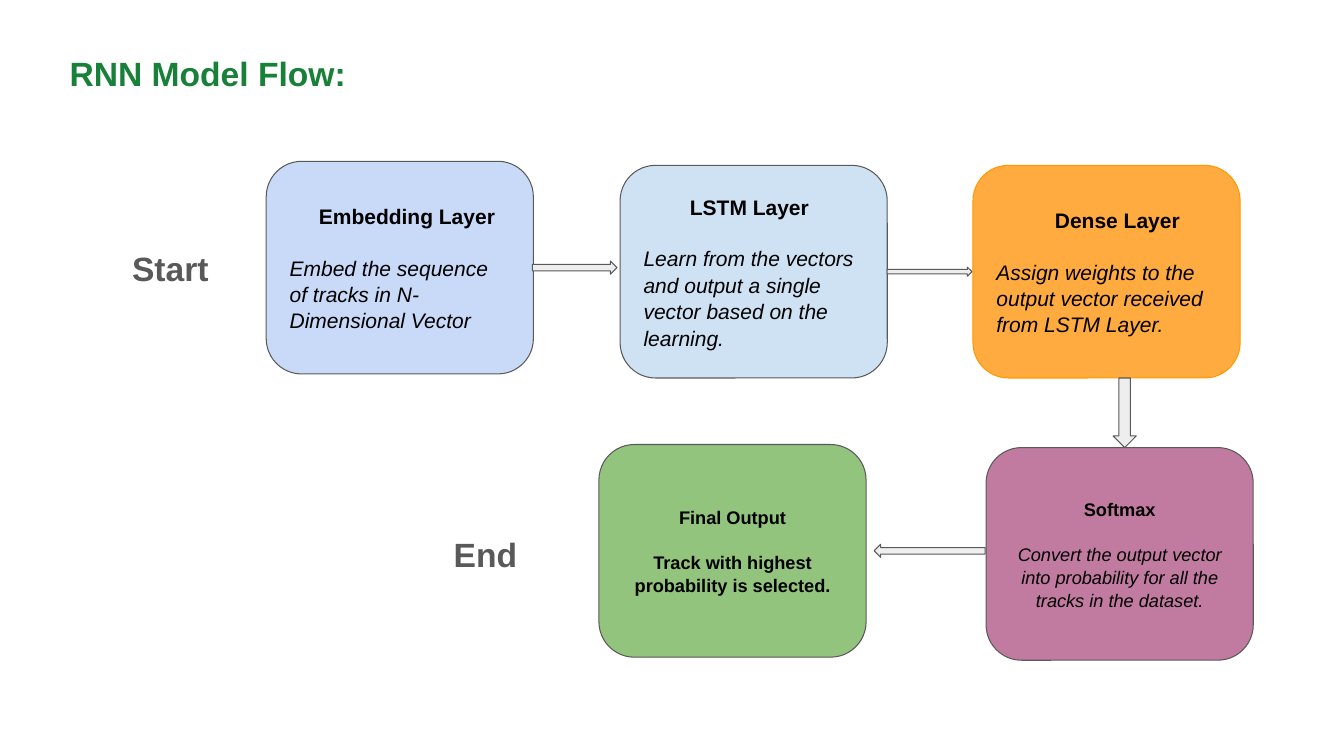
import pptx
import pptx.dml.color
import pptx.enum.shapes
import pptx.enum.text
import pptx.util

COLUMNS, ROWS = 133.3, 75
SLIDE_WIDTH = pptx.util.Inches(13.33)
SLIDE_HEIGHT = pptx.util.Inches(7.5)
INSET = 1.3
BOX_COLUMNS, BOX_ROWS = 26.5, 21.1
FONT = "Arial"
LINE_SPACING = 1.05
COLORS = {
    "title": "188038",
    "label": "595959",
    "text": "000000",
    "outline": "595959",
    "arrow": "EEEEEE",
    "embedding": "C9DAF8",
    "lstm": "CFE2F3",
    "dense": "FFAB40",
    "dense_outline": "FF9900",
    "output": "93C47D",
    "softmax": "C27BA0",
}
SHAPES = pptx.enum.shapes.MSO_SHAPE
LEFT = pptx.enum.text.PP_ALIGN.LEFT
CENTER = pptx.enum.text.PP_ALIGN.CENTER


def across(columns):
    return round(SLIDE_WIDTH * columns / COLUMNS)


def down(rows):
    return round(SLIDE_HEIGHT * rows / ROWS)


def place(left, top, width, height):
    return across(left), down(top), across(width), down(height)


def color(name):
    return pptx.dml.color.RGBColor.from_string(COLORS[name])


def prepare_frame(box, anchor):
    frame = box.text_frame
    frame.word_wrap = True
    frame.vertical_anchor = anchor
    frame.margin_left = frame.margin_right = across(INSET)
    frame.margin_top = frame.margin_bottom = down(INSET)
    return frame


def add_span(para, text, size, color_name, bold=True, italic=False):
    span = para.add_run()
    span.text = text
    span.font.name = FONT
    span.font.size = pptx.util.Pt(size)
    span.font.bold = bold
    span.font.italic = italic
    span.font.color.rgb = color(color_name)


def add_label(page, text, area, color_name):
    box = page.shapes.add_textbox(*place(*area))
    frame = prepare_frame(box, pptx.enum.text.MSO_ANCHOR.TOP)
    add_span(frame.paragraphs[0], text, 24, color_name)


def add_outlined_shape(page, kind, area, fill, outline="outline"):
    shape = page.shapes.add_shape(kind, *place(*area))
    shape.shadow.inherit = False
    shape.fill.solid()
    shape.fill.fore_color.rgb = color(fill)
    shape.line.color.rgb = color(outline)
    shape.line.width = pptx.util.Pt(0.75)
    return shape


def add_layer(page, left, top, fill, heading, detail, size, align=LEFT,
              indent=0, italic=True, outline="outline"):
    area = (left, top, BOX_COLUMNS, BOX_ROWS)
    box = add_outlined_shape(page, SHAPES.ROUNDED_RECTANGLE, area, fill, outline)
    frame = prepare_frame(box, pptx.enum.text.MSO_ANCHOR.MIDDLE)
    heading_para = frame.paragraphs[0]
    detail_para = frame.add_paragraph()
    for para in (heading_para, detail_para):
        para.alignment = align
        para.line_spacing = LINE_SPACING
    heading_para.space_after = pptx.util.Pt(size * 1.2)
    if indent:
        heading_para._p.get_or_add_pPr().set("marL", str(across(indent)))
    add_span(heading_para, heading, size, "text")
    add_span(detail_para, detail, size, "text", not italic, italic)


def main():
    deck = pptx.Presentation()
    deck.slide_width = SLIDE_WIDTH
    deck.slide_height = SLIDE_HEIGHT
    page = deck.slides.add_slide(deck.slide_layouts[6])

    add_layer(page, 26.4, 16, "embedding", "Embedding Layer",
              "Embed the sequence of tracks in N-Dimensional Vector",
              15, indent=2.9)
    add_layer(page, 61.5, 16.4, "lstm", "LSTM Layer",
              "Learn from the vectors and output a single vector based on the learning.",
              15, indent=4.6)
    add_layer(page, 96.5, 16.4, "dense", "Dense Layer",
              "Assign weights to the output vector received from LSTM Layer.",
              15, indent=5.8, outline="dense_outline")
    add_layer(page, 59.4, 44.1, "output", "Final Output",
              "Track with highest probability is selected.",
              13, CENTER, italic=False)
    add_layer(page, 97.8, 44.4, "softmax", "Softmax",
              "Convert the output vector into probability for all the tracks in the dataset.",
              13, CENTER)

    add_label(page, "Start", (11.8, 23.3, 12.2, 6.5), "label")
    add_label(page, "End", (43.7, 51.7, 12, 6.5), "label")

    arrows = [
        (SHAPES.RIGHT_ARROW, (52.8, 25.9, 8.4, 1.3)),
        (SHAPES.RIGHT_ARROW, (88, 26.5, 8.4, 0.9)),
        (SHAPES.DOWN_ARROW, (110.4, 37.5, 2.3, 6.9)),
        (SHAPES.LEFT_ARROW, (86.7, 54, 11, 1.3)),
    ]
    for kind, area in arrows:
        add_outlined_shape(page, kind, area, "arrow")

    add_label(page, "RNN Model Flow:", (5.6, 3.9, 116, 6.9), "title")
    deck.save("out.pptx")


if __name__ == "__main__":
    main()
